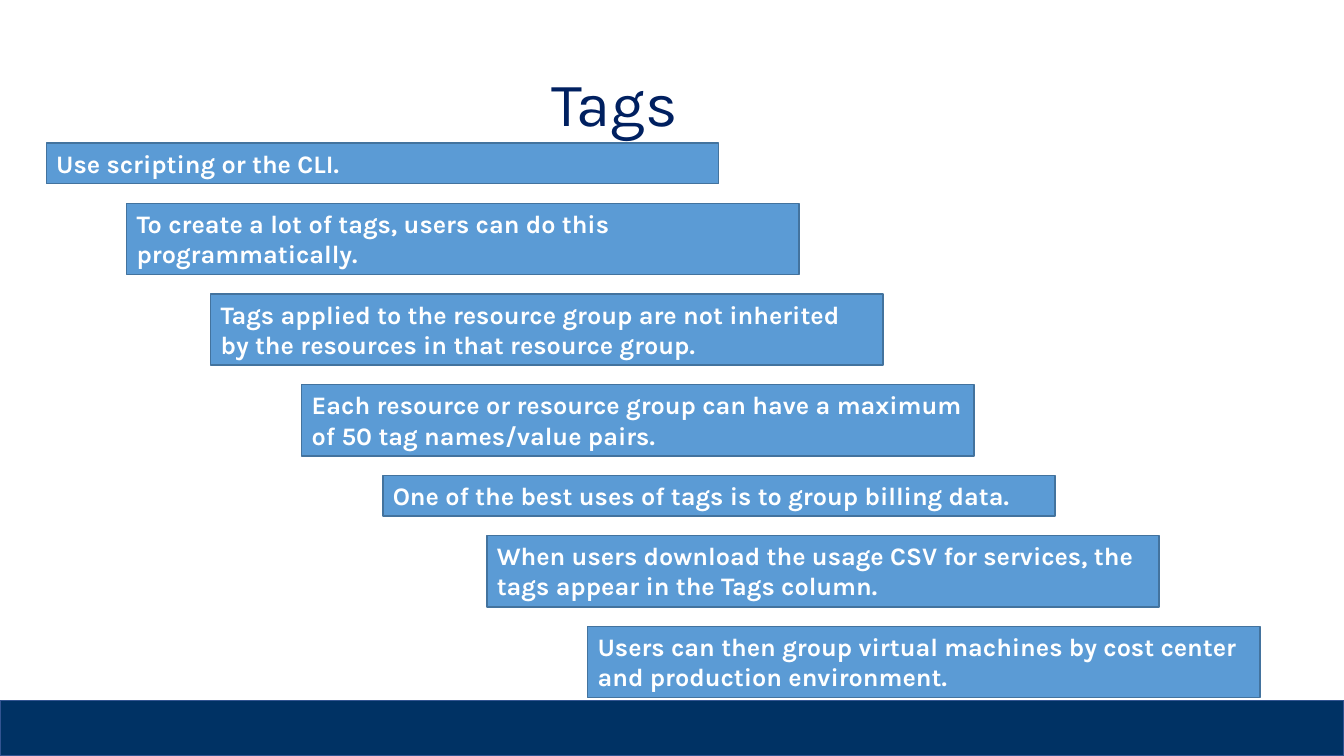
"""Build the Tags slide: a title above a staircase of seven statement bars."""
from dataclasses import dataclass
from typing import Any

from pptx import Presentation
from pptx import util as u
from pptx.dml.color import RGBColor
from pptx.enum import shapes, text


@dataclass(frozen=True)
class Theme:
    font: str = "Karla"
    title_size: float = 44
    bar_size: float = 18
    title: str = "002060"
    bar_text: str = "FFFFFF"
    bar: str = "5B9BD5"
    bar_line: str = "43739E"
    footer: str = "003264"
    footer_line: str = "325491"


@dataclass(frozen=True)
class Box:
    left: float
    top: float
    width: float
    height: float

    def emu(self) -> list[u.Pt]:
        return [u.Pt(v) for v in (self.left, self.top, self.width, self.height)]


@dataclass(frozen=True)
class Step:
    left: float
    lines: int
    words: str


THEME = Theme()
SLIDE_W, SLIDE_H = 960, 540
FOOTER = Box(0, 500.4, SLIDE_W, 39.6)
TITLE = Box(41.8, 15.8, 794.2, 120.2)
FIRST_TOP, BAR_W, GAP = 102.2, 480.2, 13.9
BAR_HEIGHTS = {1: 29.1, 2: 50.9}

STEPS = [
    Step(33.1, 1, "Use scripting or the CLI."),
    Step(90.5, 2, "To create a lot of tags, users can do this programmatically."),
    Step(150.5, 2, "Tags applied to the resource group are not inherited "
                   "by the resources in that resource group."),
    Step(215.6, 2, "Each resource or resource group can have a maximum "
                   "of 50 tag names/value pairs."),
    Step(273.5, 1, "One of the best uses of tags is to group billing data."),
    Step(347.8, 2, "When users download the usage CSV for services, "
                   "the tags appear in the Tags column."),
    Step(419.8, 2, "Users can then group virtual machines by cost center "
                   "and production environment."),
]


def apply(target: Any, values: dict[str, Any]) -> None:
    for name, value in values.items():
        setattr(target, name, value)


def add_rect(s: Any, box: Box, fill: str, line: str) -> Any:
    sp = s.shapes.add_shape(shapes.MSO_SHAPE.RECTANGLE, *box.emu())
    sp.shadow.inherit = False
    sp.fill.solid()
    sp.fill.fore_color.rgb = RGBColor.from_string(fill)
    sp.line.color.rgb = RGBColor.from_string(line)
    sp.line.width = u.Pt(1)
    return sp


def write(sp: Any, words: str, frame: dict[str, Any], para: dict[str, Any],
          font: dict[str, Any], color: str) -> None:
    tf = sp.text_frame
    apply(tf, {"word_wrap": True, **frame})
    p = tf.paragraphs[0]
    apply(p, para)
    r = p.add_run()
    r.text = words
    apply(r.font, {"name": THEME.font, **font})
    r.font.color.rgb = RGBColor.from_string(color)


def add_title(s: Any, words: str) -> None:
    write(s.shapes.add_textbox(*TITLE.emu()), words,
          {"vertical_anchor": text.MSO_ANCHOR.MIDDLE},
          {"alignment": text.PP_ALIGN.CENTER, "line_spacing": 0.9},
          {"size": u.Pt(THEME.title_size)}, THEME.title)


def add_steps(s: Any, steps: list[Step]) -> None:
    top = FIRST_TOP
    for step in steps:
        height = BAR_HEIGHTS[step.lines]
        sp = add_rect(s, Box(step.left, top, BAR_W, height), THEME.bar, THEME.bar_line)
        write(sp, step.words,
              {"vertical_anchor": text.MSO_ANCHOR.TOP,
               "auto_size": text.MSO_AUTO_SIZE.SHAPE_TO_FIT_TEXT},
              {"alignment": text.PP_ALIGN.LEFT},
              {"size": u.Pt(THEME.bar_size), "bold": True}, THEME.bar_text)
        top += height + GAP


def main() -> None:
    prs = Presentation()
    apply(prs, {"slide_width": u.Pt(SLIDE_W), "slide_height": u.Pt(SLIDE_H)})
    s = prs.slides.add_slide(prs.slide_layouts[6])
    add_rect(s, FOOTER, THEME.footer, THEME.footer_line)
    add_title(s, "Tags")
    add_steps(s, STEPS)
    prs.save("out.pptx")


if __name__ == "__main__":
    main()
